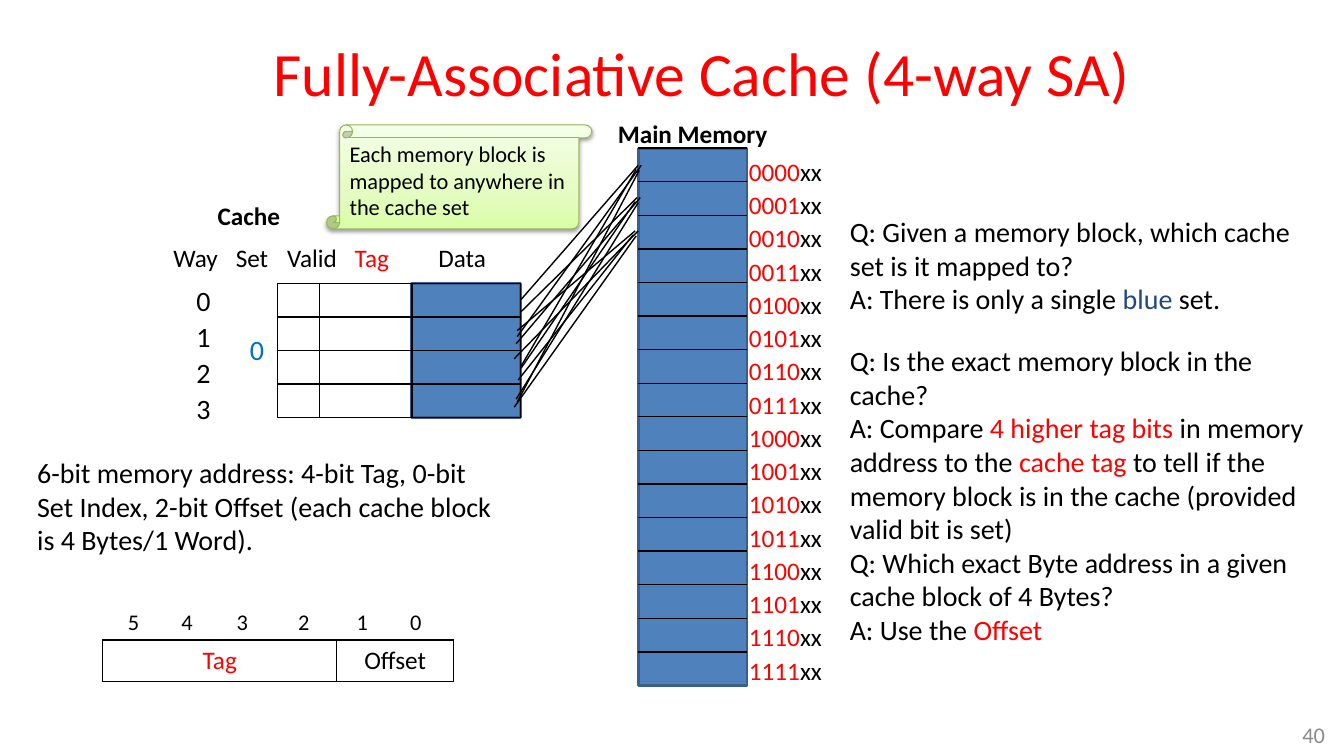
from lxml import etree
from pptx import Presentation
from pptx.dml.color import RGBColor
from pptx.enum.shapes import MSO_CONNECTOR, MSO_SHAPE
from pptx.enum.text import MSO_ANCHOR, MSO_AUTO_SIZE, PP_ALIGN
from pptx.oxml import parse_xml
from pptx.oxml.ns import nsdecls, qn
from pptx.util import Inches, Pt

STRAIGHT = MSO_CONNECTOR.STRAIGHT
RECTANGLE, SCROLL = MSO_SHAPE.RECTANGLE, MSO_SHAPE.VERTICAL_SCROLL
TOP, MIDDLE = MSO_ANCHOR.TOP, MSO_ANCHOR.MIDDLE
LEFT, CENTER, RIGHT = PP_ALIGN.LEFT, PP_ALIGN.CENTER, PP_ALIGN.RIGHT
FIT = MSO_AUTO_SIZE.SHAPE_TO_FIT_TEXT

BLACK = RGBColor(0x00, 0x00, 0x00)
RED = RGBColor(0xFF, 0x00, 0x00)
NAVY = RGBColor(0x1F, 0x49, 0x7D)
SET_BLUE = RGBColor(0x00, 0x70, 0xC0)
GRAY = RGBColor(0x8C, 0x8C, 0x8C)
BLOCK_FILL = RGBColor(0x4F, 0x81, 0xBD)
BLOCK_EDGE = RGBColor(0x3A, 0x5F, 0x8C)
SCROLL_EDGE = RGBColor(0x98, 0xB9, 0x55)
SCROLL_STOPS = [(0, "DAFDA7"), (35, "E4FCC2"), (100, "F5FFE7")]

# Content: a text is a list of paragraphs, a paragraph a list of (words, colour)
TITLE = [[("Fully-Associative Cache (4-way SA)", RED)]]
SCROLL_NOTE = [[("Each memory block is mapped to anywhere in the cache set", BLACK)]]
ADDRESS_NOTE = [[("6-bit memory address: 4-bit Tag, 0-bit Set Index, 2-bit Offset "
                  "(each cache block is 4 Bytes/1 Word).", BLACK)]]
SET_QUESTION = [
    [("Q: Given a memory block, which cache set is it mapped to?", BLACK)],
    [("A: There is only a single ", BLACK), ("blue", NAVY), (" set.", BLACK)],
]
TAG_QUESTION = [
    [("Q: Is the exact memory block in the cache?", BLACK)],
    [("A: Compare ", BLACK), ("4 higher tag bits ", RED),
     ("in memory address to the ", BLACK), ("cache tag ", RED),
     ("to tell if the memory block is in the cache (provided valid bit is set)", BLACK)],
    [("Q: Which exact Byte address in a given cache block of 4 Bytes?", BLACK)],
    [("A: Use the ", BLACK), ("Offset", RED)],
]
MEMORY_BLOCKS, WAYS = 16, 4
ADDRESSES = [[(f"{block:04b}", RED), ("xx", BLACK)] for block in range(MEMORY_BLOCKS)]
HEADINGS = [  # words, left, width, colour
    ("Way", 1.62, 0.65, BLACK), ("Set", 2.24, 0.53, BLACK), ("Valid", 2.75, 0.7, BLACK),
    ("Tag", 3.42, 0.54, RED), ("Data", 4.25, 0.68, BLACK),
]
BIT_LEFTS = {"5": 1.17, "4": 1.7, "3": 2.25, "2": 2.86, "1": 3.44, "0": 3.97}
ADDRESS_FIELDS = [("Tag", RED, 2.32), ("Offset", BLACK, 1.16)]

# Grid: every block, in memory and in the cache, is one row high
BLOCK_WIDTH = 1.08
MEMORY_LEFT, MEMORY_TOP, MEMORY_HEIGHT = 6.33, 1.47, 5.33
ROW = MEMORY_HEIGHT / MEMORY_BLOCKS
CACHE_TOP = 2.81
DATA_LEFT = 4.08
CACHE_COLUMNS = [(DATA_LEFT, BLOCK_WIDTH), (3.17, 0.92), (2.75, 0.42)]
WAY_TOP, WAY_STEP = 2.76, 0.357
FAN_OFFSETS = [(0, 0), (-0.02, 0.04), (0.03, 0), (0.01, 0.05)]
MAPPINGS = [  # point on the memory block, points on the cache ways
    ((6.33, 1.64), [(5.17, 2.97), (5.17, 3.63), (5.13, 3.34), (5.13, 3.99)]),
    ((6.32, 1.96), [(5.16, 3.1), (5.17, 3.65), (5.12, 3.41), (5.12, 3.96)]),
    ((6.3, 2.29), [(5.13, 3.28), (5.14, 3.77), (5.1, 3.56), (5.1, 4.04)]),
]


def write(frame, paragraphs, size, bold=False, align=LEFT, spacing=1.0):
    for index, spans in enumerate(paragraphs):
        para = frame.paragraphs[0] if index == 0 else frame.add_paragraph()
        para.alignment, para.line_spacing = align, spacing
        for words, colour in spans:
            span = para.add_run()
            span.text = words
            font_format = {"name": "Calibri", "size": Pt(size), "bold": bold}
            for name, value in font_format.items():
                setattr(span.font, name, value)
            span.font.color.rgb = colour


def add_text(page, place, paragraphs, size, wrap=True, anchor=TOP, fit=True, **style):
    box = page.shapes.add_textbox(*map(Inches, place))
    frame_format = {"word_wrap": wrap, "vertical_anchor": anchor}
    if fit:
        frame_format["auto_size"] = FIT
    for name, value in frame_format.items():
        setattr(box.text_frame, name, value)
    write(box.text_frame, paragraphs, size, **style)


def add_label(page, place, words, size, colour=BLACK, bold=False):
    add_text(page, place, [[(words, colour)]], size, wrap=False, bold=bold)


def add_box(page, place, edge, width, fill=None, kind=RECTANGLE):
    box = page.shapes.add_shape(kind, *map(Inches, place))
    box.shadow.inherit = False
    if fill is None:
        box.fill.background()
    else:
        box.fill.solid()
        box.fill.fore_color.rgb = fill
    box.line.color.rgb, box.line.width = edge, Pt(width)
    return box


def add_line(page, start, end):
    line = page.shapes.add_connector(STRAIGHT, *map(Inches, (*start, *end)))
    line.line.color.rgb, line.line.width = BLACK, Pt(1)
    etree.SubElement(line._element.spPr, qn("a:effectLst"))
    return line


def rule_rows(page, box, left, top, width, rows, first):
    """Rule the box into rows; the middle line is joined to its sides."""
    for row in range(first, rows):
        height = top + row * ROW
        line = add_line(page, (left, height), (left + width, height))
        if row * 2 == rows:
            line.begin_connect(box, 1)
            line.end_connect(box, 3)


def add_scroll(page, place):
    scroll = add_box(page, place, SCROLL_EDGE, 0.75, kind=SCROLL)
    properties = scroll._element.spPr
    stops = "".join(f'<a:gs pos="{share * 1000}"><a:srgbClr val="{colour}"/></a:gs>'
                    for share, colour in SCROLL_STOPS)
    gradient = parse_xml(f'<a:gradFill {nsdecls("a")} rotWithShape="1"><a:gsLst>{stops}</a:gsLst>'
                         '<a:lin ang="16200000" scaled="1"/></a:gradFill>')
    properties.replace(properties.find(qn("a:noFill")), gradient)
    shadow = parse_xml(f'<a:outerShdw {nsdecls("a")} blurRad="{Pt(3.1)}" dist="{Pt(1.6)}" '
                       'dir="5400000" rotWithShape="0"><a:srgbClr val="000000">'
                       '<a:alpha val="38000"/></a:srgbClr></a:outerShdw>')
    properties.find(qn("a:effectLst")).append(shadow)
    scroll.text_frame.word_wrap = True
    scroll.text_frame.vertical_anchor = MIDDLE
    write(scroll.text_frame, SCROLL_NOTE, 16)


def add_address_table(page, left, top, height):
    width = sum(field[2] for field in ADDRESS_FIELDS)
    place = map(Inches, (left, top, width, height))
    table = page.shapes.add_table(1, len(ADDRESS_FIELDS), *place).table
    table.first_row = table.horz_banding = False
    for index, (words, colour, column_width) in enumerate(ADDRESS_FIELDS):
        table.columns[index].width = Inches(column_width)
        cell = table.cell(0, index)
        write(cell.text_frame, [[(words, colour)]], 18, align=CENTER)
        cell.fill.background()
        properties = cell._tc.get_or_add_tcPr()
        for position, side in enumerate(("lnL", "lnR", "lnT", "lnB")):
            properties.insert(position, parse_xml(
                f'<a:{side} {nsdecls("a")} w="{Pt(1)}"><a:solidFill>'
                f'<a:srgbClr val="{BLACK}"/></a:solidFill></a:{side}>'))


def main():
    deck = Presentation()
    deck.slide_width, deck.slide_height = Inches(13.33), Inches(7.5)
    page = deck.slides.add_slide(deck.slide_layouts[6])

    cache_height = WAYS * ROW
    add_box(page, (DATA_LEFT, CACHE_TOP, BLOCK_WIDTH, cache_height), BLOCK_EDGE, 2, BLOCK_FILL)
    memory = add_box(page, (MEMORY_LEFT, MEMORY_TOP, BLOCK_WIDTH, MEMORY_HEIGHT),
                     BLOCK_EDGE, 2, BLOCK_FILL)
    rule_rows(page, memory, MEMORY_LEFT, MEMORY_TOP, BLOCK_WIDTH, MEMORY_BLOCKS, 0)
    for left, width in CACHE_COLUMNS:
        column = add_box(page, (left, CACHE_TOP, width, cache_height), BLACK, 1)
        rule_rows(page, column, left, CACHE_TOP, width, WAYS, 1)

    add_text(page, (2.17, 0.3, 9.58, 0.95), TITLE, 44, anchor=MIDDLE, fit=False,
             align=CENTER, spacing=0.85)
    add_label(page, (6.03, 1.12, 1.7, 0.4), "Main Memory", 18, bold=True)
    add_label(page, (2.06, 1.94, 0.83, 0.4), "Cache", 18, bold=True)
    add_text(page, (7.33, MEMORY_TOP, BLOCK_WIDTH, 5.43), ADDRESSES, 18, spacing=1.1)
    add_text(page, (8.33, 2.08, 4.92, 1.11), SET_QUESTION, 20)
    add_text(page, (8.33, 3.36, 4.76, 3.13), TAG_QUESTION, 20)
    add_text(page, (0.27, 4.47, 4.76, 1.11), ADDRESS_NOTE, 20)

    for words, left, width, colour in HEADINGS:
        add_label(page, (left, 2.35, width, 0.4), words, 18, colour)
    for way in range(WAYS):
        add_label(page, (1.85, WAY_TOP + way * WAY_STEP, 0.34, 0.44), str(way), 20)
    add_label(page, (2.38, 3.25, 0.34, 0.44), "0", 20, SET_BLUE)

    add_scroll(page, (3.24, 1.24, 2.63, 1.03))
    for (x, y), ends in MAPPINGS:
        for (across, down), end in zip(FAN_OFFSETS, ends):
            add_line(page, (x + across, y + down), end)

    for bit, left in BIT_LEFTS.items():
        add_label(page, (left, 5.98, 0.3, 0.37), bit, 16)
    add_address_table(page, 1.02, 6.35, 0.41)
    add_text(page, (12.57, 7.08, 0.67, 0.42), [[("40", GRAY)]], 16, anchor=MIDDLE,
             fit=False, align=RIGHT)
    deck.save("out.pptx")


if __name__ == "__main__":
    main()
